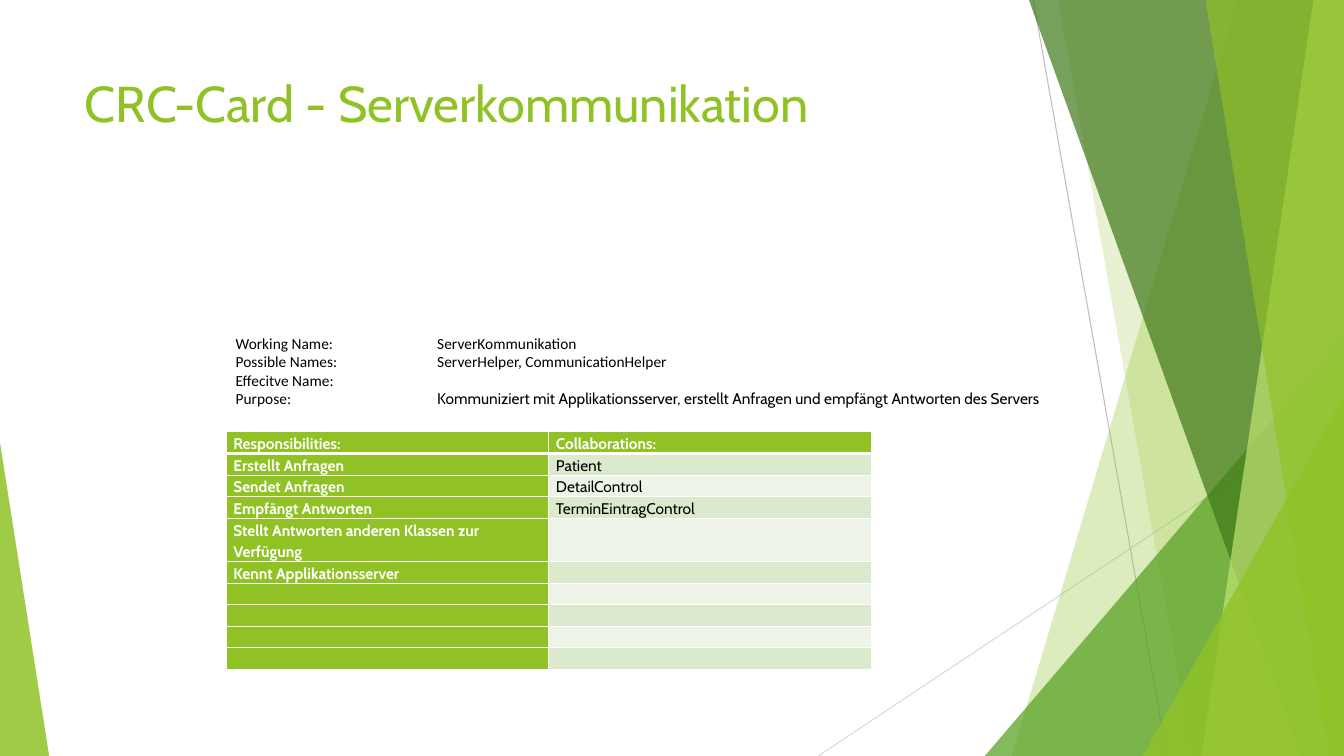
from lxml import etree
from pptx import Presentation
from pptx import util as u
from pptx.dml.color import RGBColor
from pptx.enum import shapes, text
from pptx.oxml import ns

LIME = RGBColor(0x90, 0xC2, 0x26)
GREEN = RGBColor(0x54, 0xA0, 0x21)
FOREST = RGBColor(0x3F, 0x78, 0x19)
PALE_LIME = RGBColor(0xC0, 0xE4, 0x74)
BAND_DARK = RGBColor(0xDB, 0xE9, 0xCD)
BAND_LIGHT = RGBColor(0xEE, 0xF4, 0xE8)
GREY = RGBColor(0xBF, 0xBF, 0xBF)
LIGHT_GREY = RGBColor(0xD9, 0xD9, 0xD9)
WHITE = RGBColor(0xFF, 0xFF, 0xFF)
BLACK = RGBColor(0x00, 0x00, 0x00)

WIDTH, HEIGHT = 33.87, 19.05

RESPONSIBILITIES = [
    "Responsibilities:", "Erstellt Anfragen", "Sendet Anfragen", "Empfängt Antworten",
    "Stellt Antworten anderen Klassen zur Verfügung", "Kennt Applikationsserver",
    "", "", "", "",
]
COLLABORATIONS = [
    "Collaborations:", "Patient", "DetailControl", "TerminEintragControl",
    "", "", "", "", "", "",
]
DETAILS = [
    ["Working Name:\t\tServerKommunikation"],
    ["Possible Names:\tServerHelper, CommunicationHelper"],
    ["Effecitve Name: \t"],
    ["Purpose: \t\t",
     "Kommuniziert mit Applikationsserver, erstellt Anfragen und empfängt Antworten des Servers"],
]


def add_xml(parent, tag, **attrs):
    return etree.SubElement(parent, ns.qn(tag), attrs)


class CardSlide:
    font = "Cabin"
    detail_font = "Calibri"
    size = 11

    def __init__(self, prs):
        self.s = prs.slides.add_slide(prs.slide_layouts[5])

    def style(self, r, size, color, bold=False, font=None):
        r.font.name = font or self.font
        r.font.size = u.Pt(size)
        r.font.bold = bold
        r.font.color.rgb = color

    def paint(self, sp, color, alpha):
        sp.shadow.inherit = False
        sp.line.fill.background()
        sp.fill.solid()
        sp.fill.fore_color.rgb = color
        clr = sp.element.spPr.find(".//" + ns.qn("a:srgbClr"))
        add_xml(clr, "a:alpha", val=str(alpha * 1000))

    def line(self, x1, y1, x2, y2, color):
        ln = self.s.shapes.add_connector(
            shapes.MSO_CONNECTOR.STRAIGHT, u.Cm(x1), u.Cm(y1), u.Cm(x2), u.Cm(y2))
        ln.line.color.rgb = color
        ln.line.width = u.Pt(0.75)
        add_xml(ln.element.spPr, "a:effectLst")

    def blade(self, top, bottom, color, alpha):
        fb = self.s.shapes.build_freeform(u.Cm(top), 0)
        corners = [(WIDTH, 0), (WIDTH, HEIGHT), (bottom, HEIGHT)]
        fb.add_line_segments([(u.Cm(x), u.Cm(y)) for x, y in corners])
        self.paint(fb.convert_to_shape(), color, alpha)

    def triangle(self, x, y, w, apex, color, alpha):
        sp = self.s.shapes.add_shape(
            shapes.MSO_SHAPE.ISOSCELES_TRIANGLE,
            u.Cm(x), u.Cm(y), u.Cm(w), u.Cm(HEIGHT - y))
        sp.adjustments[0] = apex
        self.paint(sp, color, alpha)

    def title(self, words, x, y, w, h):
        sp = self.s.shapes.title
        sp.left, sp.top, sp.width, sp.height = u.Cm(x), u.Cm(y), u.Cm(w), u.Cm(h)
        tf = sp.text_frame
        tf.text = words
        tf.auto_size = text.MSO_AUTO_SIZE.NONE
        tf.vertical_anchor = text.MSO_ANCHOR.TOP
        p = tf.paragraphs[0]
        p.alignment = text.PP_ALIGN.LEFT
        self.style(p.runs[0], 36, LIME)

    def borders(self, cell, bottom):
        tcPr = cell._tc.get_or_add_tcPr()
        for i, (side, pt) in enumerate(zip("LRTB", (1, 1, 1, bottom))):
            ln = etree.Element(ns.qn("a:ln" + side), w=str(u.Pt(pt)))
            add_xml(add_xml(ln, "a:solidFill"), "a:srgbClr", val=str(WHITE))
            tcPr.insert(i, ln)

    def cell(self, cell, words, fill, color, bold, bottom):
        cell.margin_left = cell.margin_right = u.Cm(0.18)
        cell.margin_top = cell.margin_bottom = 0
        cell.fill.solid()
        cell.fill.fore_color.rgb = fill
        self.borders(cell, bottom)
        p = cell.text_frame.paragraphs[0]
        p.text = words
        p.line_spacing = 1.15
        for r in p.runs:
            self.style(r, self.size, color, bold)
        if not words:
            end = add_xml(p._p, "a:endParaRPr", sz=str(self.size * 100))
            add_xml(end, "a:latin", typeface=self.font)

    def table(self, rows, x, y, col_w, row_h):
        tbl = self.s.shapes.add_table(
            len(rows), 2, u.Cm(x), u.Cm(y), u.Cm(2 * col_w), u.Cm(row_h * len(rows))).table
        tbl.horz_banding = False
        for i, row in enumerate(rows):
            tbl.rows[i].height = u.Cm(row_h)
            for j, words in enumerate(row):
                strong = i == 0 or j == 0
                band = BAND_DARK if i % 2 else BAND_LIGHT
                self.cell(tbl.cell(i, j), words, LIME if strong else band,
                          WHITE if strong else BLACK, strong, 1 if i else 3)

    def details(self, lines, x, y, w, h):
        tf = self.s.shapes.add_textbox(u.Cm(x), u.Cm(y), u.Cm(w), u.Cm(h)).text_frame
        tf.word_wrap = True
        tf.vertical_anchor = text.MSO_ANCHOR.MIDDLE
        for i, parts in enumerate(lines):
            p = tf.add_paragraph() if i else tf.paragraphs[0]
            tabs = add_xml(p._p.get_or_add_pPr(), "a:tabLst")
            for stop in (2.54, 5.08):
                add_xml(tabs, "a:tab", pos=str(u.Cm(stop)), algn="l")
            for part, font in zip(parts, (self.detail_font, self.font)):
                r = p.add_run()
                r.text = part
                self.style(r, self.size, BLACK, font=font)


def main():
    prs = Presentation()
    prs.slide_width, prs.slide_height = u.Cm(WIDTH), u.Cm(HEIGHT)
    card = CardSlide(prs)
    card.line(26.04, 0, 29.41, HEIGHT, GREY)
    card.line(WIDTH, 10.24, 20.62, HEIGHT, LIGHT_GREY)
    card.blade(31.19, 25.5, LIME, 30)
    card.blade(26.67, 30.05, LIME, 20)
    card.triangle(24.82, 8.46, 9.05, 1, GREEN, 72)
    card.blade(25.93, 32.79, FOREST, 70)
    card.blade(33.1, 30.28, PALE_LIME, 70)
    card.blade(30.38, 33.48, LIME, 65)
    card.triangle(28.8, 9.98, 5.07, 1, LIME, 80)
    card.triangle(0, 11.15, 1.24, 0, LIME, 85)
    card.title("CRC-Card - Serverkommunikation", 1.88, 1.7, 23.88, 3.66)
    card.table(list(zip(RESPONSIBILITIES, COLLABORATIONS)), 5.7, 10.88, 8.13, 0.54)
    card.details(DETAILS, 5.69, 8.28, 22, 2.13)
    prs.save("out.pptx")


if __name__ == "__main__":
    main()
